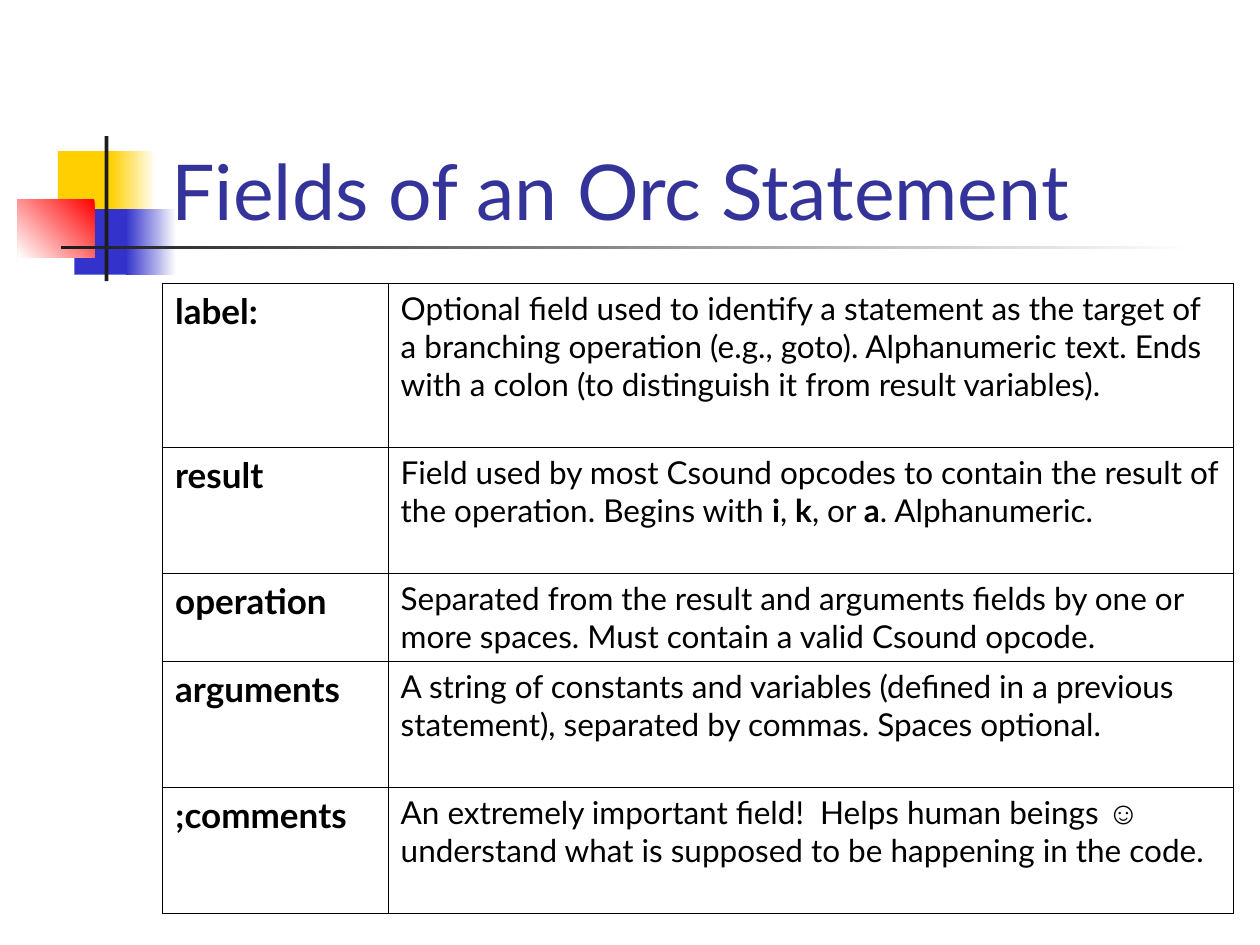
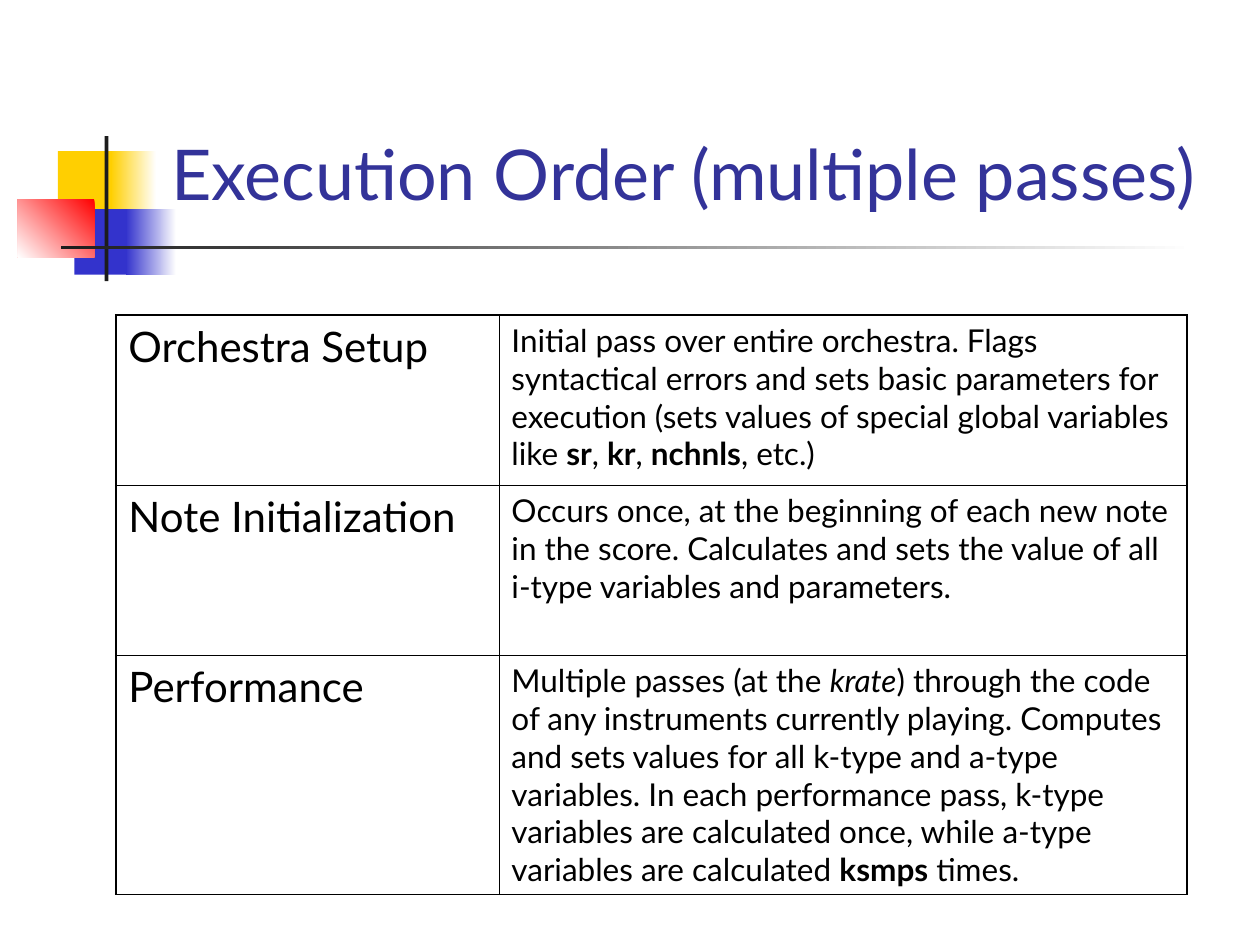
from lxml import etree
from pptx import Presentation
from pptx.dml.color import RGBColor
from pptx.enum.shapes import MSO_SHAPE
from pptx.enum.text import MSO_ANCHOR, MSO_AUTO_SIZE, PP_ALIGN
from pptx.oxml.ns import qn
from pptx.util import Pt

RECT = MSO_SHAPE.RECTANGLE
BOTTOM, LEFT, NO_FIT = MSO_ANCHOR.BOTTOM, PP_ALIGN.LEFT, MSO_AUTO_SIZE.NONE
WHITE = RGBColor(0xFF, 0xFF, 0xFF)
BLACK = RGBColor(0, 0, 0)
YELLOW = RGBColor(0xFF, 0xCF, 0x01)
BLUE = RGBColor(0x33, 0x33, 0xCC)
RED = RGBColor(0xFF, 0, 0)
DARK = RGBColor(0x1C, 0x1C, 0x1C)
TITLE_COLOR = RGBColor(0x33, 0x33, 0x99)
FONT, SYMBOL_FONT = "Lato", "Arial"
BODY_SIZE = 18
OUTER, INNER = 1.08, 0.45

# Corner ornament: left, top, width, height, colours, counter-clockwise angle
ORNAMENT = [
    (33.1, 86.4, 34.6, 37.4, [YELLOW], 0),
    (63.4, 86.4, 25.9, 37.4, [WHITE, YELLOW], 180),
    (42.5, 119.5, 33.1, 37.4, [BLUE], 0),
    (72, 119.5, 28.8, 37.4, [WHITE, BLUE], 180),
    (10.1, 113.8, 43.9, 33.1, [RED, WHITE], 225),
    (59.8, 77.8, 2.2, 82.8, [DARK], 0),
    (34.6, 140.4, 648, 2.2, [WHITE, DARK], 180),
]

# Each row: label, then runs of (text, style); b bold, i italic, s symbol
FIELDS = [
    ("label:", [("Optional field used to identify a statement as the target of a "
                 "branching operation (e.g., goto). Alphanumeric text. Ends with a "
                 "colon (to distinguish it from result variables).", "")]),
    ("result", [("Field used by most Csound opcodes to contain the result of the "
                 "operation. Begins with ", ""), ("i", "b"), (", ", ""), ("k", "b"),
                (", or ", ""), ("a", "b"), (". Alphanumeric.", "")]),
    ("operation", [("Separated from the result and arguments fields by one or more "
                    "spaces. Must contain a valid Csound opcode.", "")]),
    ("arguments", [("A string of constants and variables (defined in a previous "
                    "statement), separated by commas. Spaces optional.", "")]),
    (";comments", [("An extremely important field!  Helps human beings ", ""),
                   ("☺", "s"),
                   (" understand what is supposed to be happening in the code.", "")]),
]
PASSES = [
    ("Orchestra Setup", [("Initial pass over entire orchestra. Flags syntactical errors "
                          "and sets basic parameters for execution (sets values of "
                          "special global variables like ", ""), ("sr", "b"), (", ", ""),
                         ("kr", "b"), (", ", ""), ("nchnls", "b"), (", etc.)", "")]),
    ("Note Initialization", [("Occurs once, at the beginning of each new note in the "
                              "score. Calculates and sets the value of all i-type "
                              "variables and parameters.", "")]),
    ("Performance", [("Multiple passes (at the ", ""), ("krate", "i"),
                     (") through the code of any instruments currently playing. Computes "
                      "and sets values for all k-type and a-type variables. In each "
                      "performance pass, k-type variables are calculated once, while "
                      "a-type variables are calculated ", ""),
                     ("ksmps", "b"), (" times.", "")]),
]

SLIDES = [
    dict(title="Fields of an Orc Statement", title_size=44, title_top=48.2, title_height=90,
         left=92.9, top=162, cols=[128.9, 483.1], heights=[93.6, 72, 50.4, 72, 72],
         label_size=20, label_style="b", rows=FIELDS),
    dict(title="Execution Order (multiple passes)", title_size=40, title_top=72,
         title_height=54, left=66.2, top=180, cols=[218.9, 393.1],
         heights=[97.2, 97.2, 136.8], label_size=24, label_style="", rows=PASSES),
]


def add_run(p, text, size, color, style=""):
    r = p.add_run()
    r.text = text
    r.font.name = SYMBOL_FONT if style == "s" else FONT
    r.font.size = Pt(size)
    r.font.color.rgb = color
    r.font.bold = style == "b"
    r.font.italic = style == "i"


def set_borders(cell, widths):
    """Draw black left, right, top and bottom borders, in that order."""
    tc_pr = cell._tc.get_or_add_tcPr()
    for i, (side, width) in enumerate(zip("LRTB", widths)):
        ln = etree.Element(qn("a:ln" + side), w=str(Pt(width)))
        fill = etree.SubElement(ln, qn("a:solidFill"))
        etree.SubElement(fill, qn("a:srgbClr"), val=str(BLACK))
        tc_pr.insert(i, ln)


prs = Presentation()
prs.slide_width, prs.slide_height = Pt(720), Pt(540)

for page in SLIDES:
    s = prs.slides.add_slide(prs.slide_layouts[5])

    # Ornament
    for left, top, width, height, colors, angle in ORNAMENT:
        sp = s.shapes.add_shape(RECT, Pt(left), Pt(top), Pt(width), Pt(height))
        sp.shadow.inherit = False
        sp.line.fill.background()
        if len(colors) == 1:
            sp.fill.solid()
            sp.fill.fore_color.rgb = colors[0]
        else:
            sp.fill.gradient()
            sp.fill.gradient_angle = angle
            for stop, color in zip(sp.fill.gradient_stops, colors):
                stop.color.rgb = color

    # Title, brought in front of the ornament
    title = s.shapes.title
    title.element.getparent().append(title.element)
    title.left, title.top = Pt(90.7), Pt(page["title_top"])
    title.width, title.height = Pt(613.4), Pt(page["title_height"])
    tf = title.text_frame
    tf.word_wrap = True
    tf.auto_size = NO_FIT
    tf.vertical_anchor = BOTTOM
    p = tf.paragraphs[0]
    p.alignment = LEFT
    add_run(p, page["title"], page["title_size"], TITLE_COLOR)

    # Table
    rows, cols, heights = page["rows"], page["cols"], page["heights"]
    table = s.shapes.add_table(len(rows), len(cols), Pt(page["left"]), Pt(page["top"]),
                               Pt(sum(cols)), Pt(sum(heights))).table
    table.first_row = table.horz_banding = False
    for column, width in zip(table.columns, cols):
        column.width = Pt(width)
    for i, (label, body) in enumerate(rows):
        table.rows[i].height = Pt(heights[i])
        top_width = OUTER if i == 0 else INNER
        bottom_width = OUTER if i == len(rows) - 1 else INNER
        label_cell, body_cell = table.cell(i, 0), table.cell(i, 1)
        add_run(label_cell.text_frame.paragraphs[0], label, page["label_size"], BLACK,
                page["label_style"])
        for text, style in body:
            add_run(body_cell.text_frame.paragraphs[0], text, BODY_SIZE, BLACK, style)
        for cell, sides in ((label_cell, (OUTER, INNER)), (body_cell, (INNER, OUTER))):
            cell.fill.background()
            set_borders(cell, (*sides, top_width, bottom_width))

prs.save("out.pptx")
